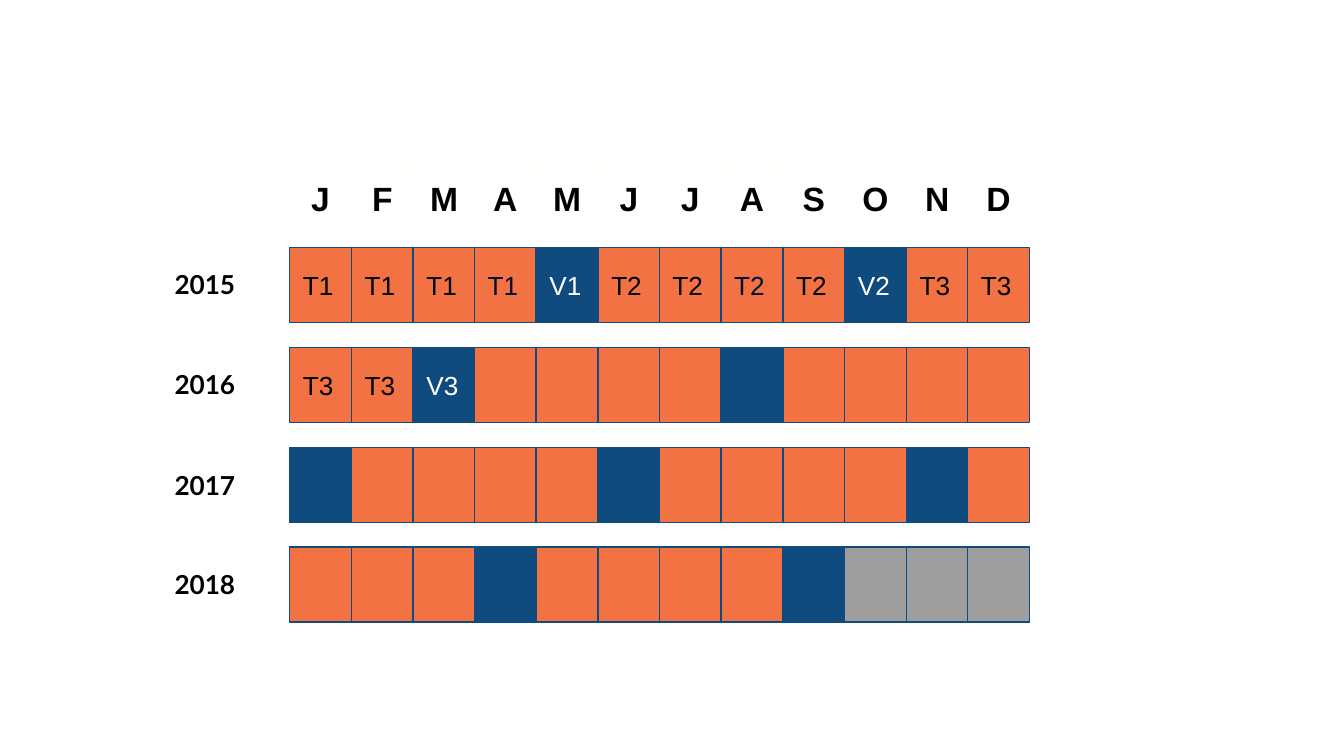
"""Build a month-by-year calendar of T and V periods from 2015 to 2018."""
from dataclasses import dataclass

from pptx import Presentation
from pptx import util as u
from pptx.dml.color import RGBColor
from pptx.enum import shapes, text
from pptx.shapes.base import BaseShape
from pptx.shapes.shapetree import GroupShapes

PX = u.Inches(1) // 200
LEFT, SPAN, WIDE, HIGH = 431, 1101, 92, 112
HEAD, TOP, STEP = 239, 368, 148.8
INSET = 20
MONTHS = "JFMAMJJASOND"

WHITE = RGBColor(0xFF, 0xFF, 0xFF)
BLACK = RGBColor(0x00, 0x00, 0x00)
IVORY = RGBColor(0xFF, 0xFF, 0xF4)
ORANGE = RGBColor(0xF2, 0x72, 0x43)
BLUE = RGBColor(0x0F, 0x4B, 0x7E)
NAVY = RGBColor(0x02, 0x0E, 0x2F)
GREY = RGBColor(0x9E, 0x9E, 0x9E)
FILLS = {"T": ORANGE, "V": BLUE, "-": GREY}


@dataclass(frozen=True)
class Style:
    size: int
    ink: RGBColor
    face: str = "Arial"
    bold: bool = False
    align: text.PP_ALIGN = text.PP_ALIGN.LEFT


@dataclass(frozen=True)
class Year:
    name: str
    kinds: str
    tags: tuple[str, ...] = ()
    navy: tuple[int, ...] = ()


YEARS = (
    Year("2015", "TTTTVTTTTVTT",
         ("T1", "T1", "T1", "T1", "V1", "T2", "T2", "T2", "T2", "V2", "T3", "T3"),
         navy=(3, 7)),
    Year("2016", "TTVTTTTVTTTT", ("T3", "T3", "V3")),
    Year("2017", "VTTTTVTTTTVT"),
    Year("2018", "TTTVTTTTV---"),
)
MONTH = Style(18, BLACK, bold=True, align=text.PP_ALIGN.CENTER)
LABEL = Style(14, BLACK, "Lato", bold=True)


def box(x: int, y: int, w: int, h: int) -> tuple[int, ...]:
    """Turn a px box into EMU."""
    return tuple(n * PX for n in (x, y, w, h))


def write(shape: BaseShape, words: str, style: Style) -> None:
    """Put one styled paragraph in a shape."""
    frame = shape.text_frame
    frame.word_wrap = True
    frame.margin_left = frame.margin_right = INSET * PX
    frame.margin_top = frame.margin_bottom = INSET * PX
    line = frame.paragraphs[0]
    line.text, line.alignment = words, style.align
    font = line.font
    font.size, font.name, font.bold = u.Pt(style.size), style.face, style.bold
    font.color.rgb = style.ink


def cell(group: GroupShapes, col: int, y: int, fill: RGBColor,
         edge: RGBColor, words: str, style: Style) -> None:
    """Draw one month cell."""
    x = LEFT + round(col * SPAN / len(MONTHS))
    shape = group.add_shape(shapes.MSO_SHAPE.RECTANGLE, *box(x, y, WIDE, HIGH))
    shape.shadow.inherit = False
    shape.fill.solid()
    shape.fill.fore_color.rgb = fill
    shape.line.color.rgb = edge
    shape.line.width = u.Pt(0.75)
    if words:
        write(shape, words, style)
        shape.text_frame.vertical_anchor = text.MSO_ANCHOR.MIDDLE


def band(group: GroupShapes, year: Year, y: int) -> None:
    """Draw the label and the twelve cells of a year."""
    label = group.add_textbox(*box(240, y + 12, 150, 88))
    write(label, year.name, LABEL)
    label.text_frame.auto_size = text.MSO_AUTO_SIZE.SHAPE_TO_FIT_TEXT
    for col, kind in enumerate(year.kinds):
        words = year.tags[col] if col < len(year.tags) else ""
        ink = WHITE if kind == "V" else NAVY if col in year.navy else BLACK
        cell(group, col, y, FILLS[kind], BLUE, words, Style(14, ink))


def main() -> None:
    """Build and save the slide."""
    deck = Presentation()
    deck.slide_width, deck.slide_height = 2000 * PX, 1125 * PX
    slide = deck.slides.add_slide(deck.slide_layouts[6])
    for row, year in enumerate(YEARS):
        band(slide.shapes.add_group_shape().shapes, year, TOP + round(row * STEP))
    head = slide.shapes.add_group_shape().shapes
    for col, month in enumerate(MONTHS):
        cell(head, col, HEAD, WHITE, IVORY, month, MONTH)
    deck.save("out.pptx")


if __name__ == "__main__":
    main()
